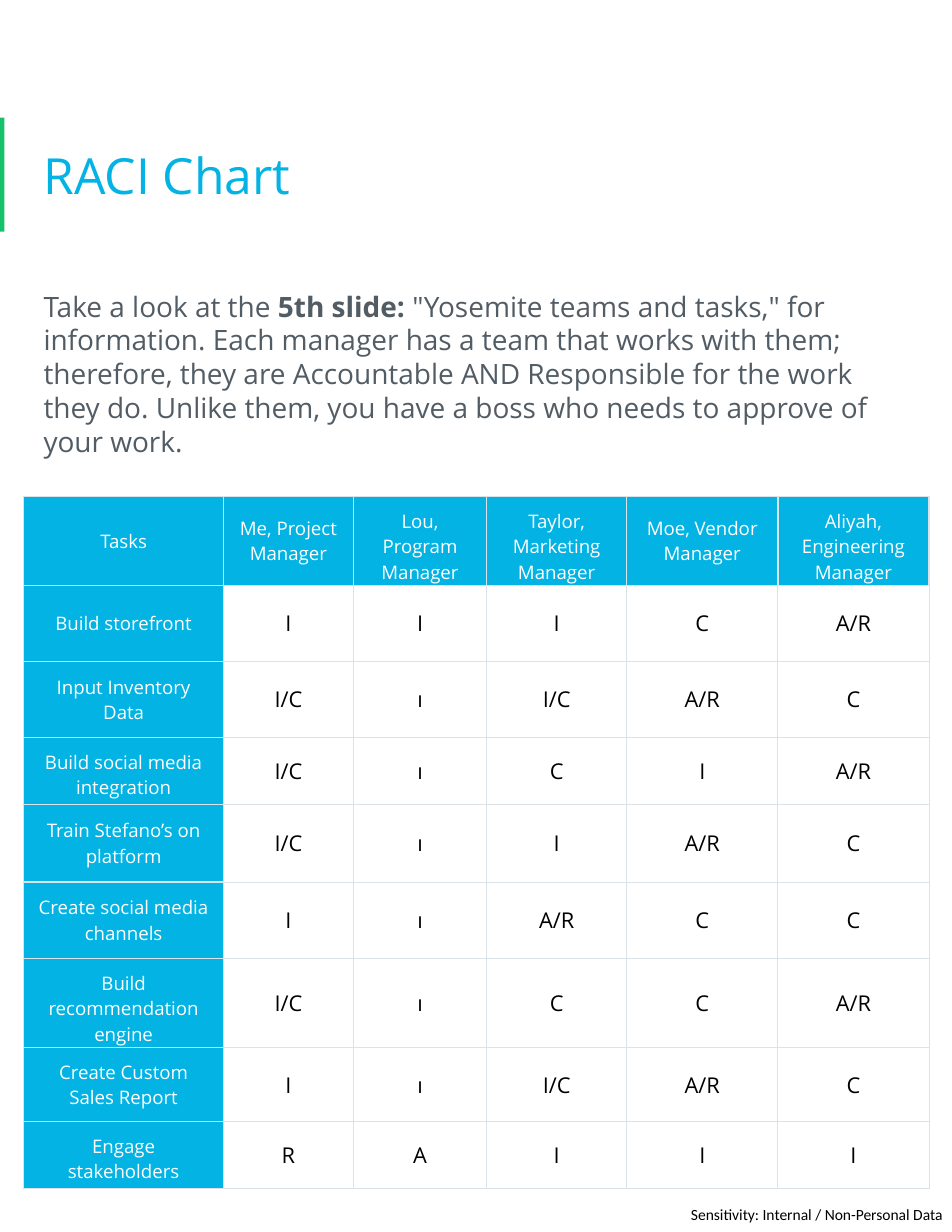
"""Build a one-page RACI chart slide."""
from dataclasses import dataclass

from lxml import etree
from pptx import Presentation
from pptx.dml.color import RGBColor
from pptx.enum.shapes import MSO_SHAPE
from pptx.enum.text import MSO_ANCHOR, PP_ALIGN
from pptx.oxml.ns import qn
from pptx.util import Pt

RECTANGLE = MSO_SHAPE.RECTANGLE
TOP, MIDDLE = MSO_ANCHOR.TOP, MSO_ANCHOR.MIDDLE
CENTER = PP_ALIGN.CENTER

CYAN = RGBColor(0x02, 0xB3, 0xE4)
GREEN = RGBColor(0x15, 0xC2, 0x6B)
SLATE = RGBColor(0x52, 0x5C, 0x65)
RULE = RGBColor(0xDB, 0xE2, 0xE8)
WHITE = RGBColor(0xFF, 0xFF, 0xFF)
BLACK = RGBColor(0x00, 0x00, 0x00)

BODY_FONT = "Open Sans"
FOOTER_FONT = "Calibri"
INSET = 7.2
BORDER_SIDES = ("a:lnL", "a:lnR", "a:lnT", "a:lnB")


@dataclass(frozen=True)
class Style:
    size: float
    color: RGBColor
    font: str = BODY_FONT


@dataclass(frozen=True)
class Label:
    text: str
    bottom: float = INSET


@dataclass(frozen=True)
class Task:
    label: Label
    height: float
    roles: tuple[str, ...]


LABEL_STYLE = Style(12, WHITE)
ROLE_STYLE = Style(14, BLACK)

COLUMN_WIDTHS = (128.4, 83.5, 85.7, 90, 97.2, 97.2)
HEADER_HEIGHT = 57
HEADERS = (
    Label("Tasks"),
    Label("Me, Project Manager"),
    Label("Lou, Program Manager", 0),
    Label("Taylor, Marketing Manager", 0),
    Label("Moe, Vendor Manager"),
    Label("Aliyah, Engineering Manager", 0),
)
TASKS = (
    Task(Label("Build storefront"), 49, ("I", "I", "I", "C", "A/R")),
    Task(Label("Input Inventory Data"), 49, ("I/C", "ı", "I/C", "A/R", "C")),
    Task(Label("Build social media integration", 2.5), 43, ("I/C", "ı", "C", "I", "A/R")),
    Task(Label("Train Stefano’s on platform"), 50, ("I/C", "ı", "I", "A/R", "C")),
    Task(Label("Create social media channels"), 49, ("I", "ı", "A/R", "C", "C")),
    Task(Label("Build recommendation engine", 0), 57.5, ("I/C", "ı", "C", "C", "A/R")),
    Task(Label("Create Custom Sales Report"), 47.5, ("I", "ı", "I/C", "A/R", "C")),
    Task(Label("Engage stakeholders", 2.5), 43, ("R", "A", "I", "I", "I")),
)
INSTRUCTIONS = (
    ("Take a look at the ", False),
    ("5th slide:", True),
    (
        ' "Yosemite teams and tasks," for information. Each manager has a team '
        "that works with them; therefore, they are Accountable AND Responsible "
        "for the work they do. Unlike them, you have a boss who needs to approve "
        "of your work.",
        False,
    ),
)


def add_run(paragraph, text: str, style: Style, bold: bool = False) -> None:
    """Append one styled run to a paragraph."""
    run = paragraph.add_run()
    run.text = text
    run.font.name = style.font
    run.font.size = Pt(style.size)
    run.font.bold = bold
    run.font.color.rgb = style.color


def add_text(slide, left: float, top: float, width: float, height: float,
             inset: float, anchor: MSO_ANCHOR = TOP, wrap: bool = True):
    """Add a text box and return its frame."""
    frame = slide.shapes.add_textbox(Pt(left), Pt(top), Pt(width), Pt(height)).text_frame
    frame.word_wrap = wrap
    frame.vertical_anchor = anchor
    frame.margin_left = frame.margin_right = Pt(inset)
    frame.margin_top = frame.margin_bottom = Pt(inset)
    return frame


def add_borders(cell, width: float) -> None:
    """Draw the same rule on all four sides of a cell."""
    properties = cell._tc.get_or_add_tcPr()
    for side in BORDER_SIDES:
        line = etree.SubElement(properties, qn(side), w=str(Pt(width)))
        fill = etree.SubElement(line, qn("a:solidFill"))
        etree.SubElement(fill, qn("a:srgbClr"), val=str(RULE))


def fill_cell(cell, text: str, style: Style, border: float, bottom: float = INSET) -> None:
    """Put centred text, margins and borders into a cell."""
    cell.vertical_anchor = MIDDLE
    cell.margin_left = cell.margin_right = cell.margin_top = Pt(INSET)
    cell.margin_bottom = Pt(bottom)
    paragraph = cell.text_frame.paragraphs[0]
    paragraph.alignment = CENTER
    add_run(paragraph, text, style)
    add_borders(cell, border)


def fill_label(cell, label: Label) -> None:
    """Fill a heading cell on the cyan ground."""
    fill_cell(cell, label.text, LABEL_STYLE, 1, label.bottom)
    cell.fill.solid()
    cell.fill.fore_color.rgb = CYAN


def fill_role(cell, role: str) -> None:
    """Fill a role cell without a ground."""
    fill_cell(cell, role, ROLE_STYLE, 0.75)
    cell.fill.background()


def add_raci_table(slide, left: float, top: float) -> None:
    """Add the table of tasks against managers."""
    heights = (HEADER_HEIGHT, *(task.height for task in TASKS))
    table = slide.shapes.add_table(
        len(heights), len(COLUMN_WIDTHS), Pt(left), Pt(top),
        Pt(sum(COLUMN_WIDTHS)), Pt(sum(heights)),
    ).table
    table.first_row = table.horz_banding = False
    for column, width in zip(table.columns, COLUMN_WIDTHS):
        column.width = Pt(width)
    for row, height in zip(table.rows, heights):
        row.height = Pt(height)
    for column, header in enumerate(HEADERS):
        fill_label(table.cell(0, column), header)
    for row, task in enumerate(TASKS, start=1):
        fill_label(table.cell(row, 0), task.label)
        for column, role in enumerate(task.roles, start=1):
            fill_role(table.cell(row, column), role)


def main() -> None:
    """Build and save the slide."""
    deck = Presentation()
    deck.slide_width, deck.slide_height = Pt(612), Pt(792)
    slide = deck.slides.add_slide(deck.slide_layouts[6])

    accent = slide.shapes.add_shape(RECTANGLE, Pt(0), Pt(75.6), Pt(2.9), Pt(73.4))
    accent.shadow.inherit = False
    accent.fill.solid()
    accent.fill.fore_color.rgb = GREEN
    accent.line.fill.background()

    sensitivity = add_text(slide, 444.2, 774.7, 164.9, 12.2, 0, wrap=False)
    add_run(sensitivity.paragraphs[0], "Sensitivity: Internal / Non-Personal Data",
            Style(10, BLACK, FOOTER_FONT))

    add_raci_table(slide, 15.3, 319.2)

    title = add_text(slide, 20.9, 68.4, 570.2, 87.8, INSET, MIDDLE)
    add_run(title.paragraphs[0], "RACI Chart", Style(32, CYAN))

    instructions = add_text(slide, 20.9, 177.1, 570.2, 130.3, INSET)
    instructions.margin_top = Pt(8.5)
    paragraph = instructions.paragraphs[0]
    paragraph.line_spacing = 1.01
    for text, bold in INSTRUCTIONS:
        add_run(paragraph, text, Style(18, SLATE), bold)

    deck.save("out.pptx")


if __name__ == "__main__":
    main()
